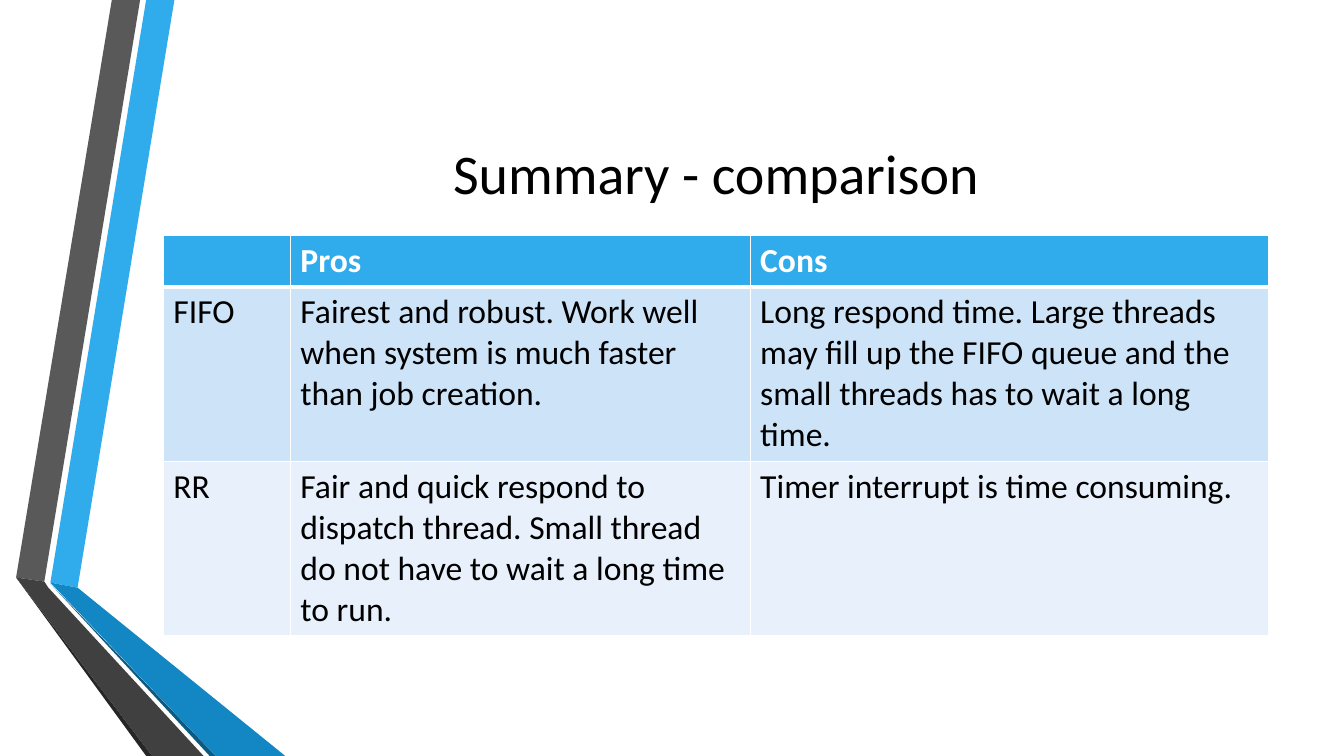
from pptx import Presentation
from pptx.dml.color import RGBColor
from pptx.enum.text import MSO_ANCHOR, PP_ALIGN
from pptx.oxml import parse_xml
from pptx.oxml.ns import nsdecls
from pptx.util import Inches, Pt

BLACK = RGBColor(0x00, 0x00, 0x00)
WHITE = RGBColor(0xFF, 0xFF, 0xFF)
BLUE = RGBColor(0x30, 0xAC, 0xEC)
MID_BLUE = RGBColor(0x12, 0x87, 0xC3)
DEEP_BLUE = RGBColor(0x0C, 0x5A, 0x82)
GRAY = RGBColor(0x59, 0x59, 0x59)
DARK_GRAY = RGBColor(0x40, 0x40, 0x40)
DEEP_GRAY = RGBColor(0x26, 0x26, 0x26)
BANDS = [RGBColor(0xCD, 0xE3, 0xF8), RGBColor(0xE8, 0xF1, 0xFB)]
FONT = "Calibri"

# Ribbon outlines in inches from the corner of the ribbon box, back to front
RIBBONS = [
    (BLUE, [(0.34, 5.78), (0.61, 5.83), (1.57, 0), (1.29, 0)]),
    (GRAY, [(1.23, 0), (0.95, 0), (0, 5.73), (0.28, 5.77)]),
    (DEEP_GRAY, [(0, 5.73), (1.29, 7.5), (1.35, 7.5)]),
    (DEEP_BLUE, [(0.34, 5.79), (1.92, 7.5), (1.98, 7.5)]),
    (MID_BLUE, [(0.34, 5.78), (1.98, 7.5), (2.67, 7.5), (0.61, 5.83)]),
    (DARK_GRAY, [(1.86, 7.5), (0.32, 5.83), (0.28, 5.77), (0, 5.73),
                 (1.35, 7.5)]),
]

COLUMNS = [1.26, 4.56, 5.14]
HEIGHTS = [0.5, 1.73, 1.73]
ROWS = [
    ["", "Pros", "Cons"],
    ["FIFO",
     "Fairest and robust. Work well when system is much faster than job "
     "creation.",
     "Long respond time. Large threads may fill up the FIFO queue and the "
     "small threads has to wait a long time."],
    ["RR",
     "Fair and quick respond to dispatch thread. Small thread do not have to "
     "wait a long time to run.",
     "Timer interrupt is time consuming."],
]


def style(font, size, color, bold=False):
    values = {"name": FONT, "size": Pt(size), "bold": bold}
    for key, value in values.items():
        setattr(font, key, value)
    font.color.rgb = color


def add_ribbons(slide, left, top):
    for color, points in RIBBONS:
        spots = [(Inches(left + x), Inches(top + y)) for x, y in points]
        outline = slide.shapes.build_freeform(*spots[0])
        outline.add_line_segments(spots[1:], close=True)
        ribbon = outline.convert_to_shape()
        ribbon.shadow.inherit = False
        ribbon.fill.solid()
        ribbon.fill.fore_color.rgb = color
        ribbon.line.fill.background()


def add_title(slide, left, top, width, height):
    title = slide.shapes.title
    box = {"left": left, "top": top, "width": width, "height": height}
    for key, value in box.items():
        setattr(title, key, Inches(value))
    frame = title.text_frame
    frame.text = "Summary - comparison"
    frame.vertical_anchor = MSO_ANCHOR.MIDDLE
    line = frame.paragraphs[0]
    line.alignment = PP_ALIGN.CENTER
    style(line.runs[0].font, 40, BLACK)


def set_borders(cell, base):
    """Draw white 1 pt cell borders, with the bottom one base points wide."""
    widths = {"lnL": 1, "lnR": 1, "lnT": 1, "lnB": base}
    props = cell._tc.get_or_add_tcPr()
    for place, (tag, width) in enumerate(widths.items()):
        props.insert(place, parse_xml(
            f'<a:{tag} {nsdecls("a")} w="{Pt(width)}"><a:solidFill>'
            f'<a:srgbClr val="{WHITE}"/></a:solidFill></a:{tag}>'))


def add_comparison(slide, left, top):
    frame = slide.shapes.add_table(
        len(ROWS), len(COLUMNS), Inches(left), Inches(top),
        Inches(sum(COLUMNS)), Inches(sum(HEIGHTS)))
    table = frame.table
    for column, width in zip(table.columns, COLUMNS):
        column.width = Inches(width)
    for r, (texts, height) in enumerate(zip(ROWS, HEIGHTS)):
        table.rows[r].height = Inches(height)
        head = r == 0
        for c, text in enumerate(texts):
            cell = table.cell(r, c)
            cell.text = text
            cell.fill.solid()
            cell.fill.fore_color.rgb = BLUE if head else BANDS[r - 1]
            style(cell.text_frame.paragraphs[0].font, 24,
                  WHITE if head else BLACK, head)
            for run in cell.text_frame.paragraphs[0].runs:
                style(run.font, 24, WHITE if head else BLACK, head)
            # The header rule is shared with the top edge of the first band
            set_borders(cell, 3 if head else 1)


def main():
    deck = Presentation()
    deck.slide_width = Inches(13.33)
    deck.slide_height = Inches(7.5)
    slide = deck.slides.add_slide(deck.slide_layouts.get_by_name("Title Only"))
    add_ribbons(slide, 0.16, 0)
    add_title(slide, 1.62, 0.75, 10.96, 1.92)
    add_comparison(slide, 1.62, 2.34)
    deck.save("out.pptx")


if __name__ == "__main__":
    main()
